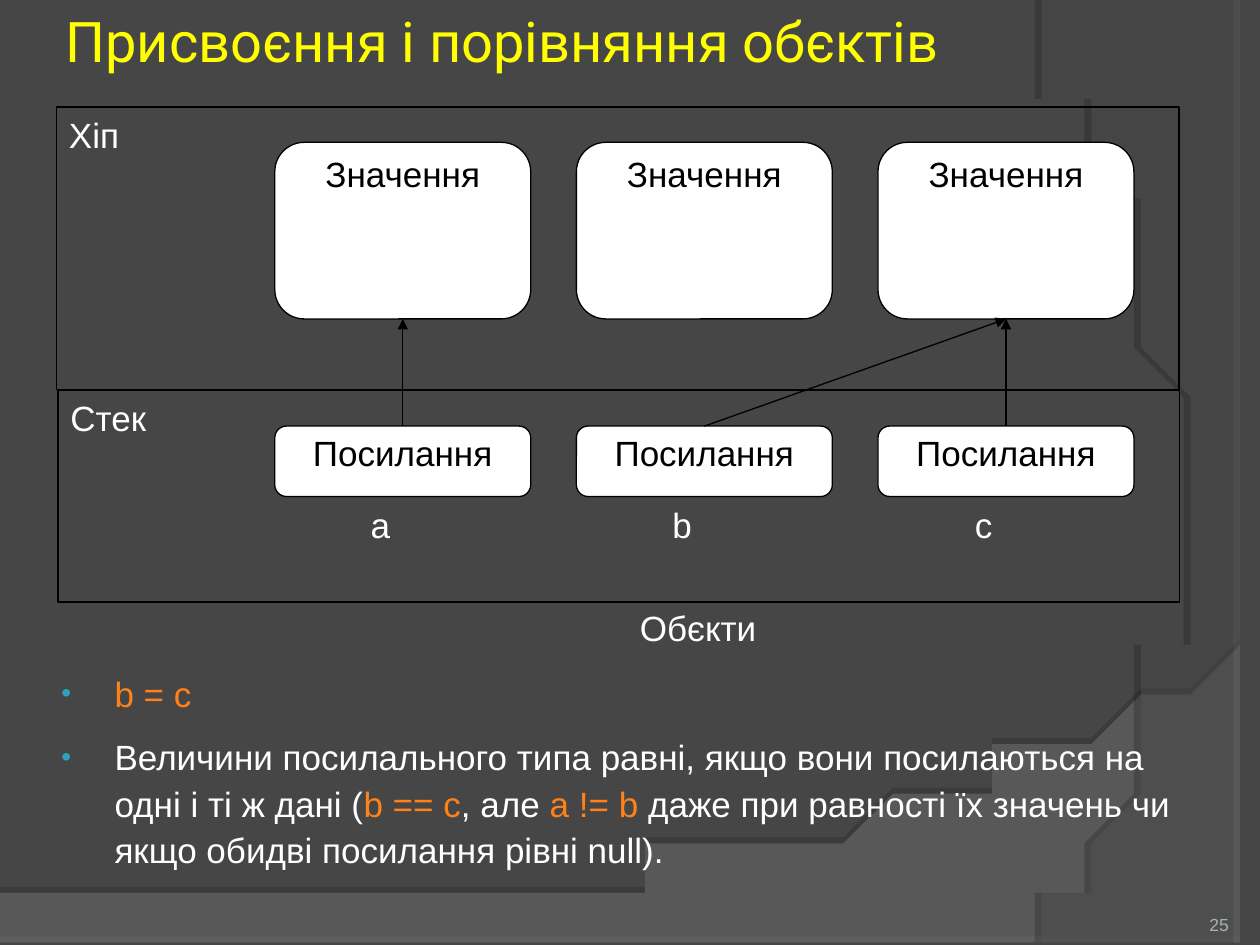
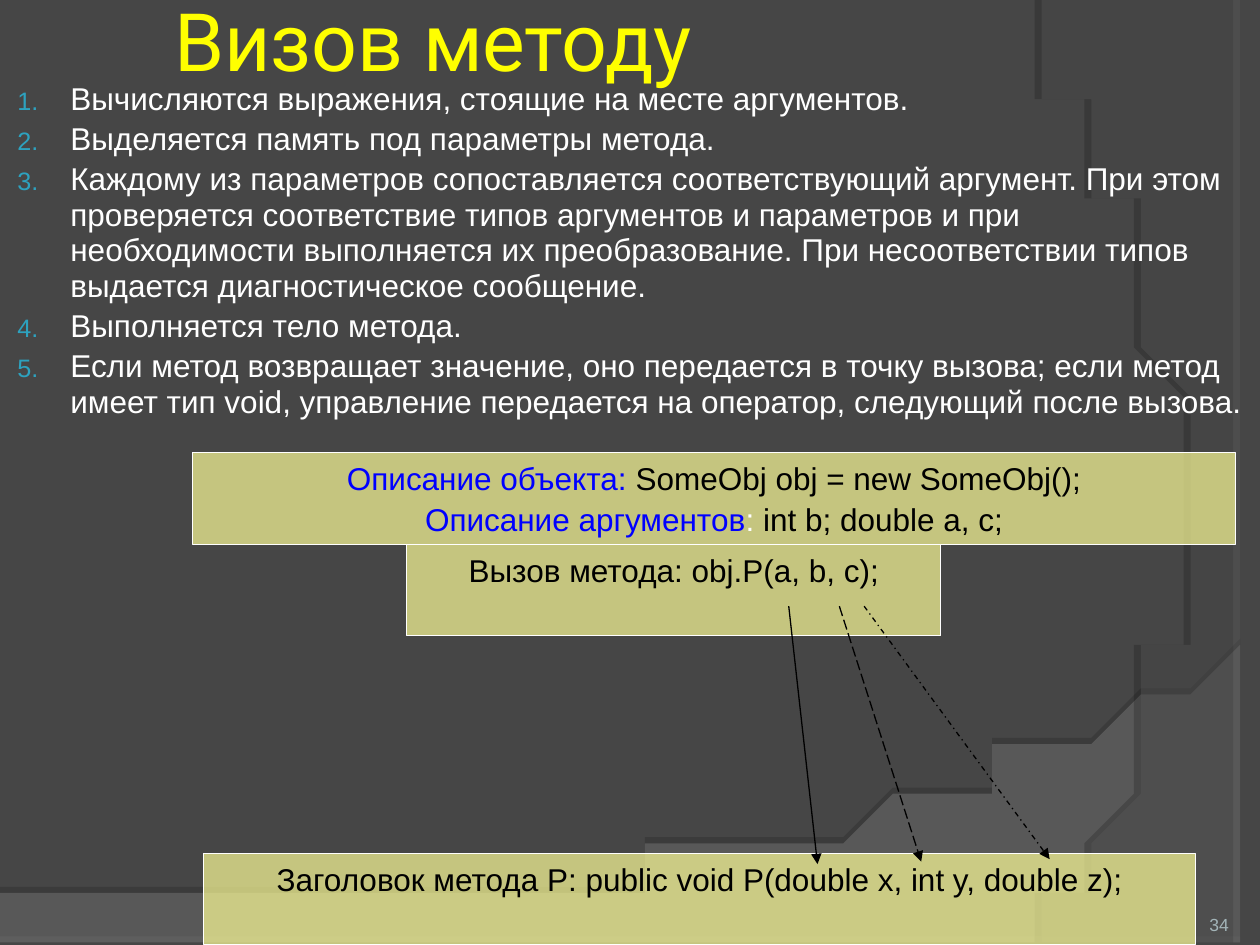
from dataclasses import dataclass

import pptx
import pptx.util
import pptx.dml.color
import pptx.enum.dml
import pptx.enum.shapes
import pptx.enum.text
import pptx.oxml
import pptx.oxml.ns
from pptx.util import Cm

Align = pptx.enum.text.PP_ALIGN
Anchor = pptx.enum.text.MSO_ANCHOR
Dash = pptx.enum.dml.MSO_LINE
Preset = pptx.enum.shapes.MSO_SHAPE


@dataclass(frozen=True)
class Theme:
    background: str = "464646"
    swoosh: str = "7C7C7C"
    arc: str = "595959"
    title: str = "FFFF00"
    light: str = "FFFFFF"
    dark: str = "000000"
    code: str = "FF8119"
    keyword: str = "0000FF"
    bullet: str = "2DA2BF"
    footer: str = "A3B4B8"
    note: str = "FFFF99"
    body_font: str = "Arial"
    title_font: str = "Roboto"
    diagram_size: int = 20
    list_size: int = 18
    footer_size: int = 10


THEME = Theme()


# --- XML helpers ---

def rgb(color):
    return pptx.dml.color.RGBColor.from_string(color)


def append_xml(parent, xml):
    """Append one DrawingML element given as '<a:tag .../>'."""
    tag_end = min(i for i in (xml.find(" "), xml.find("/>"), xml.find(">")) if i > 0)
    namespace = " " + pptx.oxml.ns.nsdecls("a")
    parent.append(pptx.oxml.parse_xml(xml[:tag_end] + namespace + xml[tag_end:]))


# --- Text ---

def write_text(shape, paragraphs, *, size, color=THEME.light, font=THEME.body_font,
               align=Align.LEFT, anchor=Anchor.TOP, margins=(0.25, 0.13),
               line_spacing=None, gap=None, first_gap=None, bullet=None):
    """Fill a shape; each paragraph is a string or a list of (text, color) runs."""
    frame = shape.text_frame
    frame.word_wrap = True
    frame.vertical_anchor = anchor
    frame.margin_left = frame.margin_right = Cm(margins[0])
    frame.margin_top = frame.margin_bottom = Cm(margins[1])
    for index, content in enumerate(paragraphs):
        paragraph = frame.paragraphs[0] if index == 0 else frame.add_paragraph()
        paragraph.alignment = align
        if line_spacing:
            paragraph.line_spacing = line_spacing
        space = first_gap if index == 0 and first_gap is not None else gap
        if space is not None:
            paragraph.space_before = paragraph.space_after = pptx.util.Pt(space)
        if bullet:
            add_bullet(paragraph, bullet)
        runs = [(content, color)] if isinstance(content, str) else content
        for text, run_color in runs:
            run = paragraph.add_run()
            run.text = text
            run.font.size = pptx.util.Pt(size)
            run.font.name = font
            run.font.color.rgb = rgb(run_color)


def add_bullet(paragraph, bullet):
    properties = paragraph._p.get_or_add_pPr()
    properties.set("marL", str(Cm(1.17)))
    properties.set("indent", str(Cm(-1.07)))
    append_xml(properties, f'<a:buClr><a:srgbClr val="{THEME.bullet}"/></a:buClr>')
    append_xml(properties, '<a:buSzPct val="80000"/>')
    append_xml(properties, f'<a:buFont typeface="{THEME.body_font}"/>')
    append_xml(properties, bullet)


DOT_BULLET = '<a:buChar char="•"/>'
NUMBER_BULLET = '<a:buAutoNum type="arabicPeriod"/>'


def add_text_box(slide, box, paragraphs, **text_format):
    shape = slide.shapes.add_textbox(*map(Cm, box))
    write_text(shape, paragraphs, **text_format)
    return shape


# --- Shapes ---

def paint(shape, fill=None, opacity=100, line=None, line_width=0.75):
    shape.shadow.inherit = False
    if fill:
        shape.fill.solid()
        shape.fill.fore_color.rgb = rgb(fill)
        if opacity < 100:
            color = shape._element.spPr.find(".//" + pptx.oxml.ns.qn("a:srgbClr"))
            append_xml(color, f'<a:alpha val="{opacity * 1000}"/>')
    else:
        shape.fill.background()
    if line:
        shape.line.color.rgb = rgb(line)
        shape.line.width = pptx.util.Pt(line_width)
    else:
        shape.line.fill.background()


def add_box(slide, preset, box, paragraphs, *, fill=None, opacity=100, line=None,
            line_width=0.75, **text_format):
    shape = slide.shapes.add_shape(preset, *map(Cm, box))
    paint(shape, fill, opacity, line, line_width)
    write_text(shape, paragraphs, **text_format)
    return shape


def add_area(slide, box, label):
    add_box(slide, Preset.RECTANGLE, box, [label], line=THEME.dark, size=THEME.diagram_size)


def add_card(slide, box, text, filled=True):
    return add_box(slide, Preset.ROUNDED_RECTANGLE, box, [text],
                   fill=THEME.light if filled else None,
                   line=THEME.dark if filled else None,
                   color=THEME.dark if filled else THEME.light,
                   size=THEME.diagram_size, align=Align.CENTER, margins=(0.05, 0.03))


def add_note(slide, box, paragraphs):
    add_box(slide, Preset.RECTANGLE, box, paragraphs, fill=THEME.note, opacity=69,
            line=THEME.light, line_width=0.5, color=THEME.dark, size=THEME.list_size,
            align=Align.CENTER, first_gap=0, gap=2.2)


def add_arrow(slide, start, end, dash=None):
    arrow = slide.shapes.add_connector(pptx.enum.shapes.MSO_CONNECTOR.STRAIGHT,
                                       *map(Cm, (*start, *end)))
    arrow.line.color.rgb = rgb(THEME.dark)
    arrow.line.width = pptx.util.Pt(0.75)
    if dash:
        arrow.line.dash_style = dash
    append_xml(arrow.line._get_or_add_ln(), '<a:tailEnd type="triangle"/>')
    append_xml(arrow._element.spPr, "<a:effectLst/>")
    return arrow


# --- Background, title and slide number ---

def bezier(start, control_1, control_2, end, steps=60):
    """Points of a cubic curve, both ends included."""
    points = []
    for step in range(steps + 1):
        t = step / steps
        weights = ((1 - t) ** 3, 3 * t * (1 - t) ** 2, 3 * t ** 2 * (1 - t), t ** 3)
        corners = (start, control_1, control_2, end)
        points.append(tuple(sum(w * c[axis] for w, c in zip(weights, corners))
                            for axis in (0, 1)))
    return points


def add_band(slide, points, color, opacity, shadow_opacity, distance, direction):
    first, *rest = points
    builder = slide.shapes.build_freeform(*first, scale=float(Cm(1)))
    builder.add_line_segments(rest, close=True)
    band = builder.convert_to_shape()
    paint(band, color, opacity)
    effects = band._element.spPr.find(pptx.oxml.ns.qn("a:effectLst"))
    append_xml(effects, f'<a:outerShdw blurRad="0" dist="{pptx.util.Pt(distance)}" '
                        f'dir="{direction * 60000}" algn="ctr" rotWithShape="0">'
                        f'<a:srgbClr val="{THEME.dark}">'
                        f'<a:alpha val="{shadow_opacity * 1000}"/></a:srgbClr></a:outerShdw>')


def add_base_slide(presentation, number, title, title_left, title_width, title_size):
    slide = presentation.slides.add_slide(presentation.slide_layouts[6])
    slide.background.fill.solid()
    slide.background.fill.fore_color.rgb = rgb(THEME.background)
    swoosh = [(0, 17.91), (0, 19.08), (25.4, 19.08)]
    swoosh += bezier((25.4, 13.21), (14.2, 18.52), (9.93, 18.26), (0, 17.91))
    add_band(slide, swoosh, THEME.swoosh, 45, 35, 3.5, 270)
    arc = [(25.4, 0.05), (25.4, 19.05)]
    arc += bezier((20.85, 19.05), (23.75, 15.72), (25.86, 7.62), (20.32, 0))
    add_band(slide, arc, THEME.arc, 40, 45, 4, 180)
    add_text_box(slide, (22.66, 17.83, 2.11, 1.02), [number], size=THEME.footer_size,
                 color=THEME.footer, align=Align.RIGHT, anchor=Anchor.BOTTOM, margins=(0, 0))
    add_text_box(slide, (title_left, -0.79, title_width, 3.18), [title], size=title_size,
                 color=THEME.title, font=THEME.title_font, anchor=Anchor.MIDDLE,
                 margins=(0.13, 0.13))
    return slide


# --- Slides ---

def build_assignment_slide(presentation):
    slide = add_base_slide(presentation, "25", "Присвоєння і порівняння обєктів",
                           1.19, 24.21, 32)
    add_text_box(slide, (0.89, 13.34, 23.8, 4.8), [
        [("b = c", THEME.code)],
        [("Величини посилального типа равні, якщо вони посилаються на одні і ті ж дані (",
          THEME.light),
         ("b == c", THEME.code), (", але ", THEME.light), ("a != b", THEME.code),
         (" даже при равності їх значень чи якщо обидві посилання рівні null).",
          THEME.light)],
    ], size=THEME.diagram_size, line_spacing=1.1, gap=5, bullet=DOT_BULLET)

    # Memory areas
    add_area(slide, (1.14, 2.16, 22.63, 5.69), "Хіп")
    add_area(slide, (1.17, 7.87, 22.61, 4.27), "Стек")
    add_card(slide, (10.19, 12.12, 7.77, 1.42), "Обєкти", filled=False)

    # One column per variable: value above, reference and name below
    left, pitch, width = 5.54, 6.08, 5.16
    value_top, value_height, reference_top = 2.87, 3.56, 8.59
    values, references, centers = [], [], []
    for column, name in enumerate("аbc"):
        x = left + column * pitch
        centers.append(x + width / 2)
        values.append(add_card(slide, (x, value_top, width, value_height), "Значення"))
        references.append(add_card(slide, (x, reference_top, width, 1.42), "Посилання"))
        add_card(slide, (x + 0.86, 10.06, 2.54, 1.42), name, filled=False)

    # Which value each reference points to
    for source, target in ((0, 0), (1, 2), (2, 2)):
        arrow = add_arrow(slide, (centers[source], reference_top),
                          (centers[target], value_top + value_height))
        arrow.begin_connect(references[source], 0)
        arrow.end_connect(values[target], 2)


def build_method_call_slide(presentation):
    slide = add_base_slide(presentation, "34", "Визов методу", 3.38, 20.75, 46)
    add_text_box(slide, (0, 1.52, 25.4, 8.2), [
        "Вычисляются выражения, стоящие на месте аргументов.",
        "Выделяется память под параметры метода.",
        "Каждому из параметров сопоставляется соответствующий аргумент. При этом "
        "проверяется соответствие типов аргументов и параметров и при необходимости "
        "выполняется их преобразование. При несоответствии типов выдается "
        "диагностическое сообщение.",
        "Выполняется тело метода.",
        "Если метод возвращает значение, оно передается в точку вызова; если метод "
        "имеет тип void, управление передается на оператор, следующий после вызова.",
    ], size=THEME.list_size, line_spacing=0.95, gap=1.1, bullet=NUMBER_BULLET)

    # Call and method header
    note_height = 1.85
    add_note(slide, (8.2, 10.97, 10.77, note_height), ["Вызов метода: obj.P(a, b, c);"])
    add_note(slide, (4.11, 17.2, 19.99, note_height),
             ["Заголовок метода P: public void P(double x, int y, double z);"])

    # Each argument goes to its parameter
    for argument_x, parameter, dash in ((15.9, (16.48, 17.42), None),
                                        (16.92, (18.57, 17.37), Dash.LONG_DASH),
                                        (17.42, (21.16, 17.32), Dash.DASH_DOT)):
        add_arrow(slide, (argument_x, 12.22), parameter, dash)

    # Declarations
    add_note(slide, (3.89, 9.12, 21.01, note_height), [
        [("Описание объекта: ", THEME.keyword),
         ("SomeObj obj = new SomeObj();", THEME.dark)],
        [("Описание аргументов", THEME.keyword), (": ", THEME.light),
         ("int b; double a, c;", THEME.dark)],
    ])


def main():
    presentation = pptx.Presentation()
    presentation.slide_width = Cm(25.4)
    presentation.slide_height = Cm(19.05)
    build_assignment_slide(presentation)
    build_method_call_slide(presentation)
    presentation.save("out.pptx")


if __name__ == "__main__":
    main()
